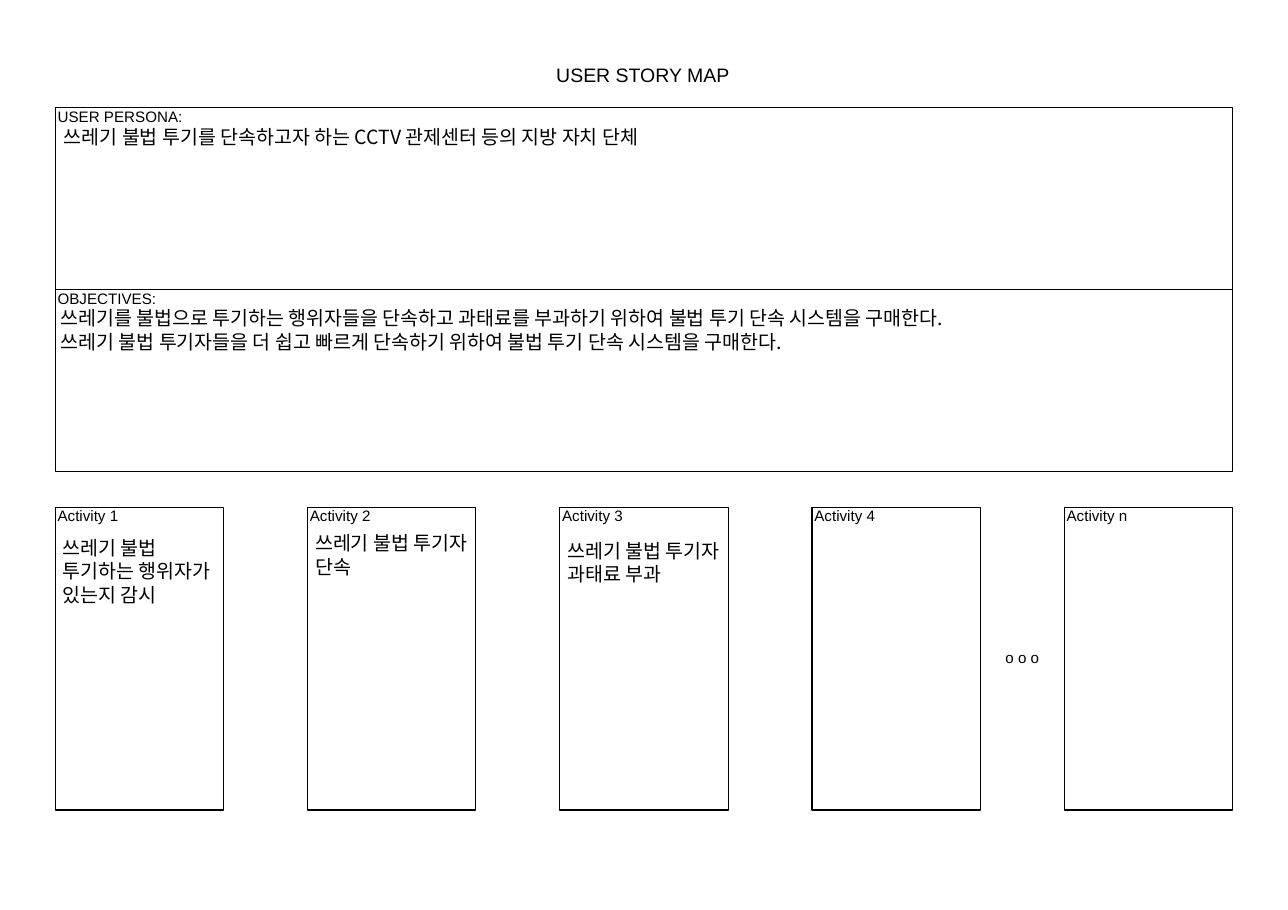
from lxml import etree
from pptx import Presentation
from pptx.dml.color import RGBColor
from pptx.enum.shapes import MSO_SHAPE
from pptx.enum.text import MSO_ANCHOR, PP_ALIGN
from pptx.oxml.ns import qn
from pptx.util import Pt

RECT = MSO_SHAPE.RECTANGLE
TOP = MSO_ANCHOR.TOP
LEFT = PP_ALIGN.LEFT
COLORS = {"ink": "000000"}
LABEL_FONT, BODY_FONT, KOREAN_FONT = "Arial", "Calibri", "Noto Sans CJK KR"
INK = RGBColor.from_string(COLORS["ink"])


def style_run(r, size, font):
    r.font.size, r.font.name = Pt(size), font
    r.font.color.rgb = INK
    etree.SubElement(r._r.get_or_add_rPr(), qn("a:ea"), typeface=KOREAN_FONT)


def add_label(s, x, y, w, h, text, size=14):
    """Arial caption with almost no inset."""
    tf = s.shapes.add_textbox(Pt(x), Pt(y), Pt(w), Pt(h)).text_frame
    tf.margin_left = tf.margin_right = tf.margin_bottom = 0
    tf.margin_top = Pt(1)
    tf.word_wrap = True
    p = tf.paragraphs[0]
    p.text = text
    p.space_before = Pt(1)
    style_run(p.runs[0], size, LABEL_FONT)


def add_note(s, x, y, w, h, lines):
    """Body text; each line is a list of (text, font) pairs."""
    tf = s.shapes.add_textbox(Pt(x), Pt(y), Pt(w), Pt(h)).text_frame
    tf.word_wrap = True
    for i, line in enumerate(lines):
        p = tf.add_paragraph() if i else tf.paragraphs[0]
        for text, font in line:
            r = p.add_run()
            r.text = text
            style_run(r, 18, font)


def add_frame(s, x, y, w, h):
    sp = s.shapes.add_shape(RECT, Pt(x), Pt(y), Pt(w), Pt(h))
    sp.shadow.inherit = False
    sp.fill.background()
    sp.line.color.rgb = INK
    sp.line.width = Pt(0.96)
    return sp


def add_panel(s, x, y, w, h, heading, lines, note_dx):
    add_frame(s, x, y, w, h)
    add_label(s, x + 2.2, y - 1, 120, 19, heading)
    add_note(s, x + note_dx, y + 12, w - 3, 22 * len(lines) + 7, lines)


def add_activity(s, x, y, w, h, name, note, note_dy):
    tf = add_frame(s, x, y, w, h).text_frame
    tf.margin_left = Pt(2.2)
    tf.margin_top = tf.margin_right = tf.margin_bottom = 0
    tf.vertical_anchor = TOP
    p = tf.paragraphs[0]
    p.text = "Activity " + name
    p.alignment = LEFT
    p.line_spacing = Pt(16.4)
    style_run(p.runs[0], 14, LABEL_FONT)
    if note:
        add_note(s, x, y + note_dy, w, 73, [[(note, BODY_FONT)]])


prs = Presentation()
prs.slide_width, prs.slide_height = Pt(1190.16), Pt(840.96)
s = prs.slides.add_slide(prs.slide_layouts[6])

# Title
add_label(s, 514, 57.6, 163, 24, "USER STORY MAP", 18)

# Persona and objectives panels
PANELS = [
    ("USER PERSONA:", 1, [[
        ("쓰레기 불법 투기를 단속하고자 하는 ", BODY_FONT),
        ("CCTV ", KOREAN_FONT),
        ("관제센터 등의 지방 자치 단체", BODY_FONT)]]),
    ("OBJECTIVES:", -2, [
        [(text, BODY_FONT), (".", KOREAN_FONT)] for text in (
            "쓰레기를 불법으로 투기하는 행위자들을 단속하고 과태료를 부과하기 위하여 "
            "불법 투기 단속 시스템을 구매한다",
            "쓰레기 불법 투기자들을 더 쉽고 빠르게 단속하기 위하여 "
            "불법 투기 단속 시스템을 구매한다")]),
]
PANEL_H = 168
for i, (heading, note_dx, lines) in enumerate(PANELS):
    add_panel(s, 51, 99.6 + i * PANEL_H, 1088, PANEL_H, heading, lines, note_dx)

# Activity columns
ACTIVITIES = [
    ("1", "쓰레기 불법 투기하는 행위자가 있는지 감시", 23),
    ("2", "쓰레기 불법 투기자 단속", 19),
    ("3", "쓰레기 불법 투기자 과태료 부과", 26),
    ("4", "", 0),
    ("n", "", 0),
]
for i, (name, note, note_dy) in enumerate(ACTIVITIES):
    add_activity(s, 51 + i * 233.1, 468.6, 155.6, 280, name, note, note_dy)

# Continuation dots between the last two columns
add_label(s, 929, 598.3, 34, 19, "o o o")

prs.save("out.pptx")
